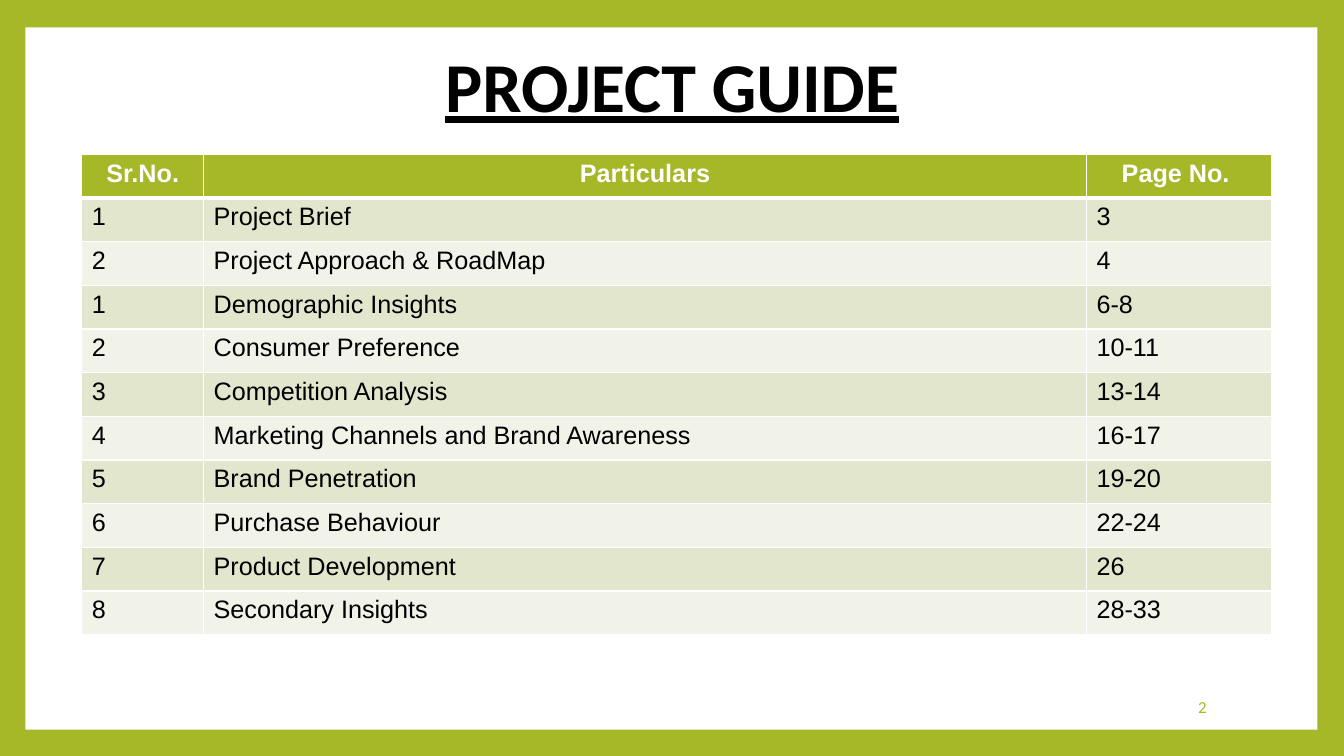
import dataclasses
import typing

import lxml.etree
import pptx
import pptx.dml.color
import pptx.enum.shapes
import pptx.enum.text
import pptx.oxml.ns
import pptx.util

Cm = pptx.util.Cm
ALIGN = pptx.enum.text.PP_ALIGN
ANCHOR = pptx.enum.text.MSO_ANCHOR


@dataclasses.dataclass(frozen=True)
class Theme:
    green: str = "A6B727"
    white: str = "FFFFFF"
    black: str = "000000"
    bands: tuple[str, str] = ("E1E6CD", "F1F3E8")
    heading_font: str = "Calibri"
    table_font: str = "Arial"
    title_size: int = 50
    table_size: int = 18
    number_size: int = 12
    rule: int = 1
    header_rule: int = 3


@dataclasses.dataclass(frozen=True)
class Box:
    left: float
    top: float
    width: float
    height: float

    def lengths(self) -> tuple[int, int, int, int]:
        return Cm(self.left), Cm(self.top), Cm(self.width), Cm(self.height)


class Entry(typing.NamedTuple):
    number: str
    particulars: str
    pages: str


THEME = Theme()
PANEL = Box(0.64, 0.69, 32.56, 17.7)
TITLE = Box(1.93, 0.94, 30.02, 2.39)
SLIDE_NUMBER = Box(25.91, 17.3, 4.75, 1.02)
COLUMNS = (3.07, 22.25, 4.67)
ROW_HEIGHT = 1.1
ENTRIES = [
    Entry("Sr.No.", "Particulars", "Page No. "),
    Entry("1", "Project Brief", "3"),
    Entry("2", "Project Approach & RoadMap", "4"),
    Entry("1", "Demographic Insights", "6-8"),
    Entry("2", "Consumer Preference", "10-11"),
    Entry("3", "Competition Analysis", "13-14"),
    Entry("4", "Marketing Channels and Brand Awareness", "16-17"),
    Entry("5", "Brand Penetration", "19-20"),
    Entry("6", "Purchase Behaviour", "22-24"),
    Entry("7", "Product Development", "26"),
    Entry("8", "Secondary Insights", "28-33"),
]
CONTENTS = Box(2.06, 3.89, sum(COLUMNS), ROW_HEIGHT * len(ENTRIES))


def rgb(color: str) -> pptx.dml.color.RGBColor:
    return pptx.dml.color.RGBColor.from_string(color)


def write(tf, text: str, font: str, size: int, color: str, align: ALIGN,
          bold: bool = False, underline: bool = False) -> None:
    tf.text = text
    p = tf.paragraphs[0]
    p.alignment = align
    r = p.runs[0]
    r.font.name = font
    r.font.size = pptx.util.Pt(size)
    r.font.color.rgb = rgb(color)
    r.font.bold = bold
    r.font.underline = underline


def draw_panel(slide) -> None:
    sp = slide.shapes.add_shape(
        pptx.enum.shapes.MSO_SHAPE.RECTANGLE, *PANEL.lengths())
    sp.shadow.inherit = False
    sp.fill.solid()
    sp.fill.fore_color.rgb = rgb(THEME.white)
    sp.line.fill.background()
    slide.shapes.title.element.addprevious(sp.element)


def draw_title(slide) -> None:
    sp = slide.shapes.title
    sp.left, sp.top, sp.width, sp.height = TITLE.lengths()
    tf = sp.text_frame
    tf.word_wrap = True
    tf.auto_size = pptx.enum.text.MSO_AUTO_SIZE.NONE
    tf.vertical_anchor = ANCHOR.TOP
    write(tf, "PROJECT GUIDE", THEME.heading_font, THEME.title_size,
          THEME.black, ALIGN.CENTER, bold=True, underline=True)


def draw_borders(cell, top: int, bottom: int) -> None:
    qn = pptx.oxml.ns.qn
    tc_pr = cell._tc.get_or_add_tcPr()
    widths = {"lnL": THEME.rule, "lnR": THEME.rule, "lnT": top, "lnB": bottom}
    for side, width in widths.items():
        ln = lxml.etree.SubElement(
            tc_pr, qn(f"a:{side}"), w=str(pptx.util.Pt(width)))
        fill = lxml.etree.SubElement(ln, qn("a:solidFill"))
        lxml.etree.SubElement(fill, qn("a:srgbClr"), val=THEME.white)


def draw_contents(slide) -> None:
    table = slide.shapes.add_table(
        len(ENTRIES), len(COLUMNS), *CONTENTS.lengths()).table
    for column, width in zip(table.columns, COLUMNS):
        column.width = Cm(width)
    for i, entry in enumerate(ENTRIES):
        table.rows[i].height = Cm(ROW_HEIGHT)
        header = i == 0
        top = THEME.header_rule if i == 1 else THEME.rule
        bottom = THEME.header_rule if header else THEME.rule
        for cell, text in zip(table.rows[i].cells, entry):
            draw_borders(cell, top, bottom)
            cell.fill.solid()
            cell.fill.fore_color.rgb = rgb(
                THEME.green if header else THEME.bands[(i - 1) % 2])
            write(cell.text_frame, text, THEME.table_font, THEME.table_size,
                  THEME.white if header else THEME.black,
                  ALIGN.CENTER if header else ALIGN.LEFT, bold=header)


def draw_slide_number(slide) -> None:
    tf = slide.shapes.add_textbox(*SLIDE_NUMBER.lengths()).text_frame
    tf.word_wrap = True
    tf.vertical_anchor = ANCHOR.MIDDLE
    write(tf, "2", THEME.heading_font, THEME.number_size, THEME.green,
          ALIGN.RIGHT)


def main() -> None:
    prs = pptx.Presentation()
    prs.slide_width = Cm(33.87)
    prs.slide_height = Cm(19.05)
    slide = prs.slides.add_slide(prs.slide_layouts.get_by_name("Title Only"))
    slide.background.fill.solid()
    slide.background.fill.fore_color.rgb = rgb(THEME.green)
    draw_panel(slide)
    draw_title(slide)
    draw_contents(slide)
    draw_slide_number(slide)
    prs.save("out.pptx")


if __name__ == "__main__":
    main()
